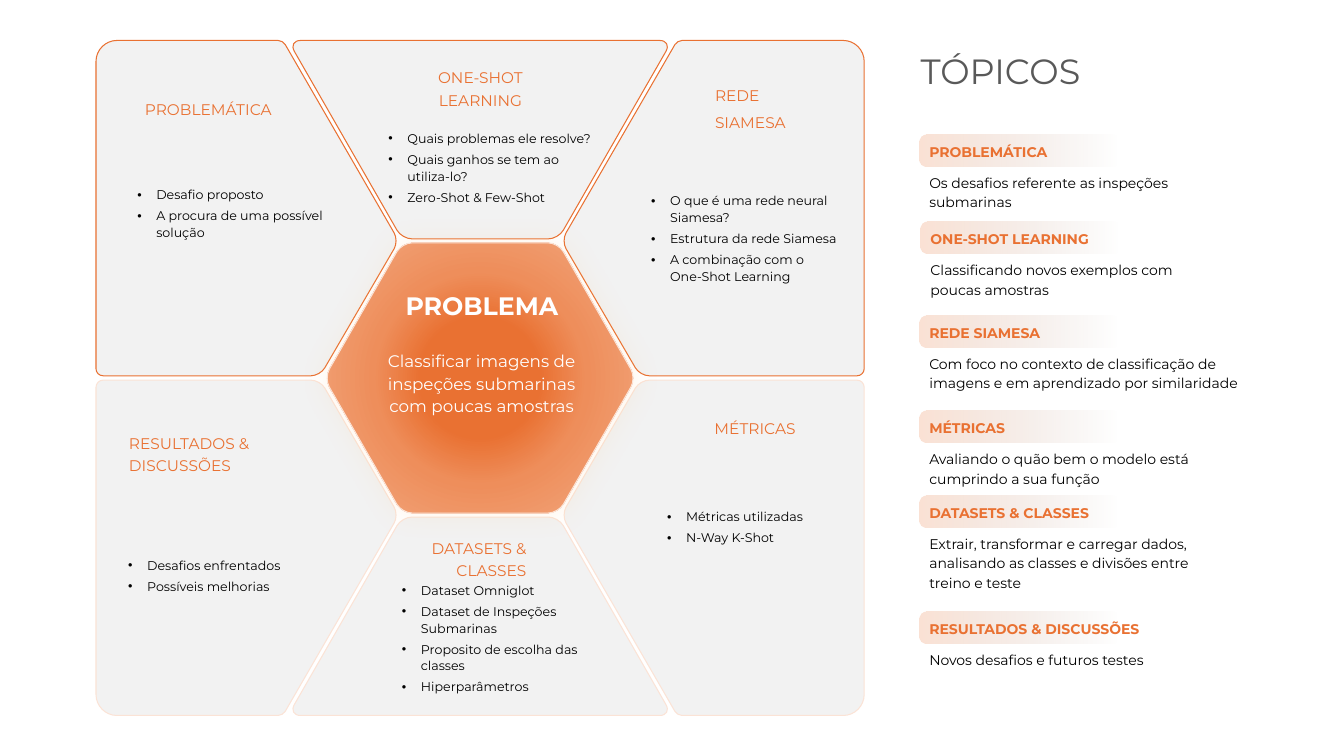
import math

import pptx
import pptx.dml.color
import pptx.enum.shapes
import pptx.enum.text
import pptx.oxml
import pptx.oxml.ns
import pptx.util

Cm, Pt = pptx.util.Cm, pptx.util.Pt
ALIGN = pptx.enum.text.PP_ALIGN
ANCHOR = pptx.enum.text.MSO_ANCHOR
NAMESPACE = pptx.oxml.ns.nsdecls("a")

SLIDE_WIDTH, SLIDE_HEIGHT = 33.87, 19.05
DIAGRAM_CENTER = 12.1
ORANGE, PALE, GREY, BLACK, WHITE = "E97132", "FBE3D6", "F2F2F2", "000000", "FFFFFF"

# Outlines in cm: corner x, corner y, length rounded off each side
SIDE_PANEL = [(2.42, 1.02, 0.53), (7.13, 1.02, 0.12), (10.05, 6.07, 0.23),
              (8.07, 9.47, 0.23), (2.42, 9.47, 0.18)]
MIDDLE_PANEL = [(7.26, 1.02, 0.32), (16.94, 1.02, 0.32), (14.07, 6.02, 0.25),
                (10.13, 6.02, 0.25)]
HEXAGON = [(10.13, 6.12, 0.26), (14.07, 6.12, 0.26), (16.03, 9.53, 0.26),
           (14.07, 12.93, 0.26), (10.13, 12.93, 0.26), (8.17, 9.53, 0.26)]

# Heading box, alignment, heading lines, list box, list items
SECTIONS = [
    ((3.04, 2.31, 4.06, 0.79), ALIGN.RIGHT, ["PROBLEMÁTICA"], (3.21, 4.55, 5.31, 1.63),
     ["Desafio proposto", "A procura de uma possível solução"]),
    ((10.42, 1.5, 3.38, 1.35), ALIGN.CENTER, ["ONE-SHOT LEARNING"], (9.54, 3.13, 5.84, 2.16),
     ["Quais problemas ele resolve?", "Quais ganhos se tem ao utiliza-lo?",
      "Zero-Shot & Few-Shot"]),
    ((17.77, 1.96, 3.28, 1.45), ALIGN.LEFT, ["REDE", "SIAMESA"], (16.16, 4.7, 5.38, 2.59),
     ["O que é uma rede neural Siamesa?", "Estrutura da rede Siamesa",
      "A combinação com o \vOne-Shot Learning"]),
    ((17.34, 10.34, 3.38, 0.79), ALIGN.CENTER, ["MÉTRICAS"], (16.56, 12.67, 5.72, 1.19),
     ["Métricas utilizadas", "N-Way K-Shot"]),
    ((9.58, 13.36, 3.94, 1.35), ALIGN.RIGHT, ["DATASETS & CLASSES"], (9.88, 14.51, 5.31, 3.12),
     ["Dataset Omniglot", "Dataset de Inspeções Submarinas",
      "Proposito de escolha das classes", "Hiperparâmetros"]),
    ((3, 10.71, 3.61, 1.35), ALIGN.LEFT, ["RESULTADOS & DISCUSSÕES"], (2.98, 13.89, 5.31, 1.19),
     ["Desafios enfrentados", "Possíveis melhorias"]),
]

# Left, top, text width, number of description lines, heading, description
TOPICS = [
    (23.17, 3.38, 7.19, 2, "PROBLEMÁTICA", "Os desafios referente as inspeções submarinas"),
    (23.2, 5.58, 7.85, 2, "ONE-SHOT LEARNING",
     "Classificando novos exemplos com poucas amostras"),
    (23.17, 7.94, 8.61, 2, "REDE SIAMESA",
     "Com foco no contexto de classificação de imagens e em aprendizado por similaridade"),
    (23.17, 10.34, 7.19, 2, "MÉTRICAS",
     "Avaliando o quão bem o modelo está cumprindo a sua função"),
    (23.17, 12.48, 7.85, 3, "DATASETS & CLASSES",
     "Extrair, transformar e carregar dados, analisando as classes e divisões entre "
     "treino e teste"),
    (23.17, 15.4, 7.19, 1, "RESULTADOS & DISCUSSÕES", "Novos desafios e futuros testes"),
]


def color(value):
    return pptx.dml.color.RGBColor.from_string(value)


def apply_format(target, values):
    for name, value in values.items():
        setattr(target, name, value)


def format_paragraph(paragraph, size, text_color, bold=False, **layout):
    apply_format(paragraph, layout)
    for run in paragraph.runs:
        apply_format(run.font, {"size": Pt(size), "name": "Montserrat", "bold": bold})
        run.font.color.rgb = color(text_color)


def add_bullet(paragraph):
    properties = paragraph._p.get_or_add_pPr()
    properties.set("marL", str(Cm(0.48)))
    properties.set("indent", str(-Cm(0.48)))
    properties.append(pptx.oxml.parse_xml(f'<a:buFont {NAMESPACE} typeface="Arial"/>'))
    properties.append(pptx.oxml.parse_xml(f'<a:buChar {NAMESPACE} char="•"/>'))


def add_text(slide, box, lines, line_spacing, space_after, anchor=ANCHOR.TOP,
             alignment=ALIGN.LEFT, bullets=False):
    """Each line is a tuple of text, size, colour and boldness."""
    frame = slide.shapes.add_textbox(*map(Cm, box)).text_frame
    apply_format(frame, {"word_wrap": True, "vertical_anchor": anchor})
    for index, (text, *font) in enumerate(lines):
        paragraph = frame.add_paragraph() if index else frame.paragraphs[0]
        paragraph.text = text
        format_paragraph(paragraph, *font, alignment=alignment,
                         line_spacing=Pt(line_spacing), space_after=Pt(space_after))
        if bullets:
            add_bullet(paragraph)


def set_gradient(shape, stops, direction):
    """Each stop is a tuple of position, colour and opacity in percent."""
    shape.fill.gradient()
    gradient = shape.element.spPr.find(pptx.oxml.ns.qn("a:gradFill"))
    stop_xml = "".join(
        f'<a:gs pos="{position * 1000}"><a:srgbClr val="{value}">'
        f'<a:alpha val="{opacity * 1000}"/></a:srgbClr></a:gs>'
        for position, value, opacity in stops)
    gradient.getparent().replace(gradient, pptx.oxml.parse_xml(
        f'<a:gradFill {NAMESPACE} rotWithShape="1"><a:gsLst>{stop_xml}</a:gsLst>'
        f'{direction}</a:gradFill>'))


def corner_points(corners):
    """Give start, two control points and end of the curve at each corner."""
    points = []
    for index, (x, y, trim) in enumerate(corners):
        before, after = corners[index - 1], corners[(index + 1) % len(corners)]
        for (other_x, other_y, _), shares in ((before, (1, 0.45)), (after, (0.45, 1))):
            for share in shares:
                reach = share * trim / math.hypot(other_x - x, other_y - y)
                points.append((Cm(x + (other_x - x) * reach), Cm(y + (other_y - y) * reach)))
    return points


def curve_corners(shape):
    """Turn the three segments at each corner into one Bézier curve."""
    outline = next(shape.element.iter(pptx.oxml.ns.qn("a:path")))
    segments = list(outline)[1:-1]
    for first in range(0, len(segments), 4):
        curve = pptx.oxml.parse_xml(f"<a:cubicBezTo {NAMESPACE}/>")
        segments[first].addprevious(curve)
        for segment in segments[first:first + 3]:
            curve.append(segment[0])
            outline.remove(segment)


def mirror(corners, across=False, down=False):
    return [(2 * DIAGRAM_CENTER - x if across else x, SLIDE_HEIGHT - y if down else y, trim)
            for x, y, trim in corners]


def add_outline(slide, corners, line_color):
    points = corner_points(corners)
    builder = slide.shapes.build_freeform(*points[0])
    builder.add_line_segments(points[1:])
    shape = builder.convert_to_shape()
    curve_corners(shape)
    shape.shadow.inherit = False
    shape.fill.solid()
    shape.fill.fore_color.rgb = color(GREY)
    shape.line.color.rgb = color(line_color)
    shape.line.width = Pt(0.75)
    return shape


def add_hexagon(slide):
    hexagon = add_outline(slide, HEXAGON, PALE)
    set_gradient(hexagon, [(29, ORANGE, 100), (52, "EE8E5B", 100), (100, "F2AA84", 100)],
                 '<a:path path="circle"><a:fillToRect l="50000" t="50000" r="50000" '
                 'b="50000"/></a:path>')
    effects = hexagon.element.spPr.find(pptx.oxml.ns.qn("a:effectLst"))
    effects.append(pptx.oxml.parse_xml(
        f'<a:outerShdw {NAMESPACE} blurRad="{Pt(20)}" dist="0" dir="0">'
        '<a:srgbClr val="FFBE6C"><a:alpha val="15000"/></a:srgbClr></a:outerShdw>'))


def add_topic(slide, left, top, width, line_count, heading, description):
    bar = slide.shapes.add_shape(pptx.enum.shapes.MSO_SHAPE.ROUNDED_RECTANGLE,
                                 Cm(left), Cm(top), Cm(5.03), Cm(0.82))
    bar.adjustments[0] = 0.22
    bar.shadow.inherit = False
    bar.line.fill.background()
    set_gradient(bar, [(0, "F2AA84", 35), (100, "A98B7B", 0)], '<a:lin ang="0" scaled="0"/>')
    add_text(slide, (left, top + 0.04, width, 1.01 + 0.49 * line_count),
             [(heading, 10, ORANGE, True), (description, 10, BLACK)], 14, 8)


def set_title(slide, text):
    title = slide.shapes.title
    apply_format(title, {"left": Cm(23.2), "top": Cm(1.12), "width": Cm(5.56),
                         "height": Cm(1.32)})
    title.text_frame.text = text
    apply_format(title.text_frame, {"margin_left": 0, "vertical_anchor": ANCHOR.TOP,
                                    "word_wrap": True,
                                    "auto_size": pptx.enum.text.MSO_AUTO_SIZE.NONE})
    format_paragraph(title.text_frame.paragraphs[0], 25, "595959", alignment=ALIGN.LEFT)


def main():
    presentation = pptx.Presentation()
    apply_format(presentation, {"slide_width": Cm(SLIDE_WIDTH), "slide_height": Cm(SLIDE_HEIGHT)})
    slide = presentation.slides.add_slide(presentation.slide_layouts[5])
    set_title(slide, "TÓPICOS")

    # Panels around the hexagon
    for down, line_color in ((False, ORANGE), (True, PALE)):
        for across in (False, True):
            add_outline(slide, mirror(SIDE_PANEL, across, down), line_color)
        add_outline(slide, mirror(MIDDLE_PANEL, down=down), line_color)
    add_hexagon(slide)

    # Panel texts
    for heading_box, alignment, heading, list_box, items in SECTIONS:
        add_text(slide, heading_box, [(text, 11, ORANGE) for text in heading], 16, 3,
                 alignment=alignment)
        add_text(slide, list_box, [(text, 9, BLACK) for text in items], 12, 3,
                 anchor=ANCHOR.MIDDLE, bullets=True)

    # Central problem
    add_text(slide, (9.72, 7.39, 4.85, 0.84), [("PROBLEMA", 18, WHITE, True)], 16, 3,
             alignment=ALIGN.CENTER)
    add_text(slide, (9.45, 8.67, 5.38, 1.93),
             [("Classificar imagens de inspeções submarinas com poucas amostras", 12, WHITE)],
             16, 3, alignment=ALIGN.CENTER)

    # Topic column
    for topic in TOPICS:
        add_topic(slide, *topic)
    presentation.save("out.pptx")


if __name__ == "__main__":
    main()
